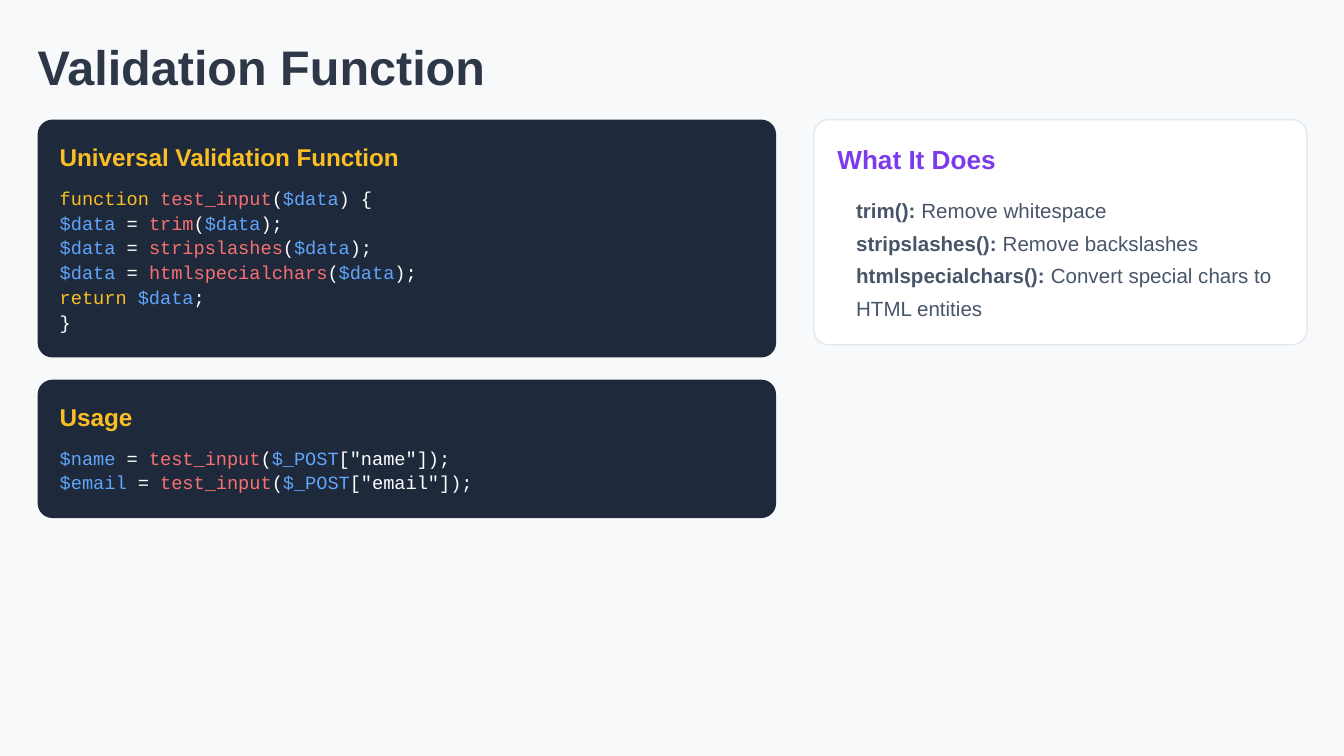
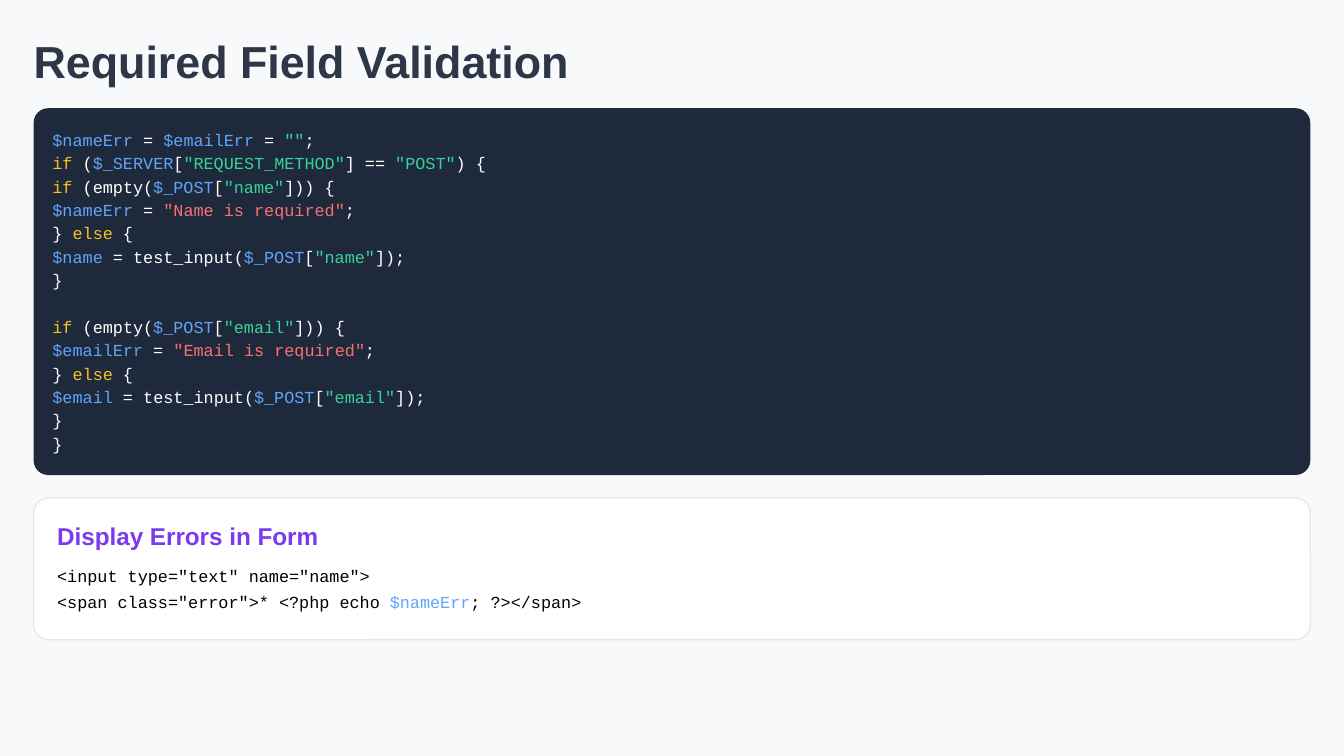
from dataclasses import dataclass, field

from pptx import Presentation
from pptx import util as u
from pptx.dml.color import RGBColor
from pptx.enum import shapes, text

SCALE = 4572


@dataclass(frozen=True)
class Theme:
    back: str = "F8F9FA"
    title: str = "2D3748"
    dark: str = "1E293B"
    light: str = "FFFFFF"
    edge: str = "E2E8F0"
    gold: str = "FBBF24"
    plum: str = "7C3AED"
    body: str = "475569"
    sans: str = "Arial"
    mono: str = "Courier New"
    head: int = 13
    list: int = 11
    lead: float = 17.6
    edge_pt: float = 0.75
    round: int = 22
    ink: dict = field(default_factory=lambda: {
        "y": "FBBF24", "r": "F87171", "b": "60A5FA",
        "g": "34D399", "w": "FFFFFF", "k": "000000"})


T = Theme()


def px(n):
    return u.Emu(round(n * SCALE))


def apply(item, form):
    for name, value in form.items():
        setattr(item, name, value)


def page(deck):
    slide = deck.slides.add_slide(deck.slide_layouts[6])
    fill = slide.background.fill
    fill.solid()
    fill.fore_color.rgb = RGBColor.from_string(T.back)
    return slide


def panel(slide, x, y, w, h, fill, edge=None):
    box = slide.shapes.add_shape(
        shapes.MSO_SHAPE.ROUNDED_RECTANGLE, px(x), px(y), px(w), px(h))
    box.shadow.inherit = False
    box.adjustments[0] = T.round / h
    box.fill.solid()
    box.fill.fore_color.rgb = RGBColor.from_string(fill)
    if edge:
        box.line.color.rgb = RGBColor.from_string(edge)
        box.line.width = u.Pt(T.edge_pt)
    else:
        box.line.fill.background()


def frame(slide, x, y, w, h, inset=0):
    tf = slide.shapes.add_textbox(px(x), px(y), px(w), px(h)).text_frame
    apply(tf, {"word_wrap": True, "auto_size": text.MSO_AUTO_SIZE.NONE,
               "margin_left": px(inset), "margin_top": 0,
               "margin_right": 0, "margin_bottom": 0})
    return tf


def add_run(para, words, size, font, color, bold=False):
    run = para.add_run()
    run.text = words
    apply(run.font, {"size": u.Pt(size), "name": font, "bold": bold})
    run.font.color.rgb = RGBColor.from_string(color)


def label(slide, x, y, w, h, words, size, color, after=8):
    para = frame(slide, x, y, w, h).paragraphs[0]
    para.space_after = u.Pt(after)
    add_run(para, words, size, T.sans, color, True)


def code(slide, x, top, last, w, size, lines, after=2):
    step = (last - top) / max(len(lines) - 1, 1)
    for i, line in enumerate(lines):
        if not line:
            continue
        para = frame(slide, x, top + i * step, w, size * 3.2).paragraphs[0]
        para.space_after = u.Pt(after)
        for part in line.split("|"):
            add_run(para, part[1:], size, T.mono, T.ink[part[0]])


def terms(slide, x, y, w, h, inset, rows):
    tf = frame(slide, x, y, w, h, inset)
    for i, (term, rest) in enumerate(rows):
        para = tf.add_paragraph() if i else tf.paragraphs[0]
        para.line_spacing = u.Pt(T.lead)
        add_run(para, term, T.list, T.sans, T.body, True)
        add_run(para, rest, T.list, T.sans, T.body)


def clean(name):
    return f"b$data|w = |r{name}|w(|b$data|w);"


def use(name):
    return f'b${name}|w = |rtest_input|w(|b$_POST|w["{name}"]);'


def check(name):
    return [
        f'yif|w (empty(|b$_POST|w[|g"{name}"|w])) {{',
        f'b${name}Err|w = |r"{name.title()} is required"|w;',
        "w} |yelse|w {",
        f'b${name}|w = test_input(|b$_POST|w[|g"{name}"|w]);',
        "w}",
    ]


def clean_page(deck):
    slide = page(deck)
    label(slide, 56, 55, 1926, 82, "Validation Function", 26, T.title, 15)

    panel(slide, 56, 178, 1099, 354, T.dark)
    label(slide, 89, 212, 1054, 44, "Universal Validation Function",
          T.head, T.gold)
    code(slide, 89, 278, 462, 1054, 10, [
        "yfunction |rtest_input|w(|b$data|w) {",
        *map(clean, ("trim", "stripslashes", "htmlspecialchars")),
        "yreturn |b$data|w;",
        "w}",
    ])

    panel(slide, 56, 565, 1099, 206, T.dark)
    label(slide, 89, 599, 1054, 44, "Usage", T.head, T.gold)
    code(slide, 89, 665, 701, 1054, 10, [use("name"), use("email")])

    panel(slide, 1211, 178, 734, 335, T.light, T.edge)
    label(slide, 1246, 214, 676, 46, "What It Does", 14, T.plum)
    terms(slide, 1246, 282, 662, 196, 28, [
        ("trim():", " Remove whitespace"),
        ("stripslashes():", " Remove backslashes"),
        ("htmlspecialchars():", " Convert special chars to HTML entities"),
    ])


def field_page(deck):
    slide = page(deck)
    label(slide, 50, 50, 1938, 78, "Required Field Validation", 24,
          T.title, 12)

    panel(slide, 50, 161, 1900, 546, T.dark)
    code(slide, 78, 193, 645, 1882, 9, [
        'b$nameErr|w = |b$emailErr|w = |g""|w;',
        'yif|w (|b$_SERVER|w[|g"REQUEST_METHOD"|w] == |g"POST"|w) {',
        *check("name"),
        "",
        *check("email"),
        "w}",
    ])

    panel(slide, 50, 741, 1900, 211, T.light, T.edge)
    label(slide, 85, 776, 1866, 44, "Display Errors in Form", T.head, T.plum)
    code(slide, 85, 842, 880, 1866, 9, [
        'k<input type="text" name="name">',
        'k<span class="error">* <?php echo |b$nameErr|k; ?></span>',
    ], 3)


def main():
    deck = Presentation()
    apply(deck, {"slide_width": px(2000), "slide_height": px(1125)})
    clean_page(deck)
    field_page(deck)
    deck.save("out.pptx")


if __name__ == "__main__":
    main()
